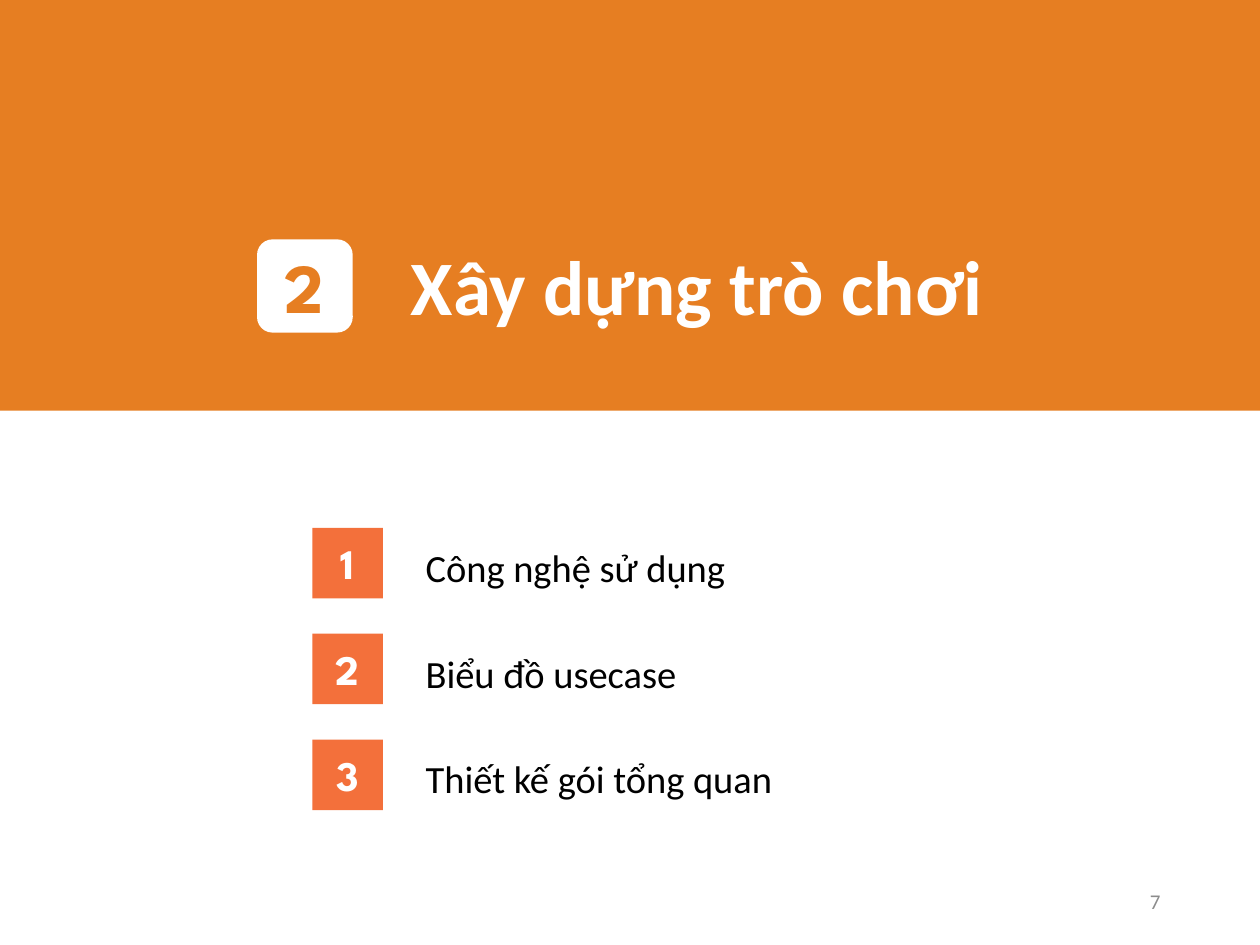
from pptx import Presentation
from pptx.dml.color import RGBColor
from pptx.enum.shapes import MSO_SHAPE
from pptx.enum.text import MSO_ANCHOR, MSO_AUTO_SIZE, PP_ALIGN
from pptx.util import Inches, Pt

RECT, ROUNDED = MSO_SHAPE.RECTANGLE, MSO_SHAPE.ROUNDED_RECTANGLE
TOP, MIDDLE = MSO_ANCHOR.TOP, MSO_ANCHOR.MIDDLE
LEFT, CENTER, RIGHT = PP_ALIGN.LEFT, PP_ALIGN.CENTER, PP_ALIGN.RIGHT

# Content
SECTION_NUMBER, SECTION_TITLE = "2", "Xây dựng trò chơi"
TOPICS = ["Công nghệ sử dụng", "Biểu đồ usecase", "Thiết kế gói tổng quan"]
PAGE_NUMBER = "7"

# Style
COLORS = {"band": "E67E22", "badge": "F3703B", "white": "FFFFFF",
          "text": "000000", "page": "8C8C8C"}
BODY_FONT, NUMBER_FONT = "Calibri", "League Spartan"

# Topic grid, in inches
FIRST_TOP, TOPIC_STEP, BADGE_SIZE = 4.19, 0.84, 0.56


def write(target, text, size, color, font=BODY_FONT, bold=False,
          align=LEFT, anchor=TOP, wrap=True):
    frame = target.text_frame
    frame.text = text
    frame.word_wrap = wrap
    frame.auto_size = MSO_AUTO_SIZE.NONE
    frame.vertical_anchor = anchor
    line = frame.paragraphs[0]
    line.alignment = align
    line.font.name, line.font.size, line.font.bold = font, Pt(size), bold
    line.font.color.rgb = RGBColor.from_string(COLORS[color])
    return line


def add_block(slide, preset, box, fill):
    block = slide.shapes.add_shape(preset, *map(Inches, box))
    block.shadow.inherit = False
    block.fill.solid()
    block.fill.fore_color.rgb = RGBColor.from_string(COLORS[fill])
    block.line.fill.background()
    return block


def add_badge(slide, preset, box, fill, number, size, color):
    badge = add_block(slide, preset, box, fill)
    write(badge, number, size, color, NUMBER_FONT, True, CENTER, MIDDLE)


def add_label(slide, box, *args, **style):
    label = slide.shapes.add_textbox(*map(Inches, box))
    return write(label, *args, **style)


def main():
    prs = Presentation()
    prs.slide_width, prs.slide_height = Inches(10), Inches(7.5)
    slide = prs.slides.add_slide(prs.slide_layouts[5])

    # Section heading, with the band moved behind the title
    title = slide.shapes.title
    band = add_block(slide, RECT, (0, 0, 10, 3.26), "band")
    title.element.addprevious(band.element)
    title.left, title.top, title.width, title.height = map(
        Inches, (3.16, 1.84, 4.79, 0.84))
    write(title, SECTION_TITLE, 44, "white", bold=True, wrap=False)
    add_badge(slide, ROUNDED, (2.04, 1.9, 0.76, 0.74), "white",
              SECTION_NUMBER, 40, "band")

    # Numbered topics
    for index, topic in enumerate(TOPICS):
        top = FIRST_TOP + index * TOPIC_STEP
        topic_line = add_label(slide, (3.28, top + 0.04, 4.91, 0.49),
                               topic, 22, "text")
        topic_line.line_spacing = 1.1
        add_badge(slide, RECT, (2.48, top, BADGE_SIZE, BADGE_SIZE), "badge",
                  str(index + 1), 24, "white")

    # Page number
    add_label(slide, (7.06, 6.95, 2.25, 0.4), PAGE_NUMBER, 12, "page",
              align=RIGHT, anchor=MIDDLE)

    prs.save("out.pptx")


if __name__ == "__main__":
    main()
